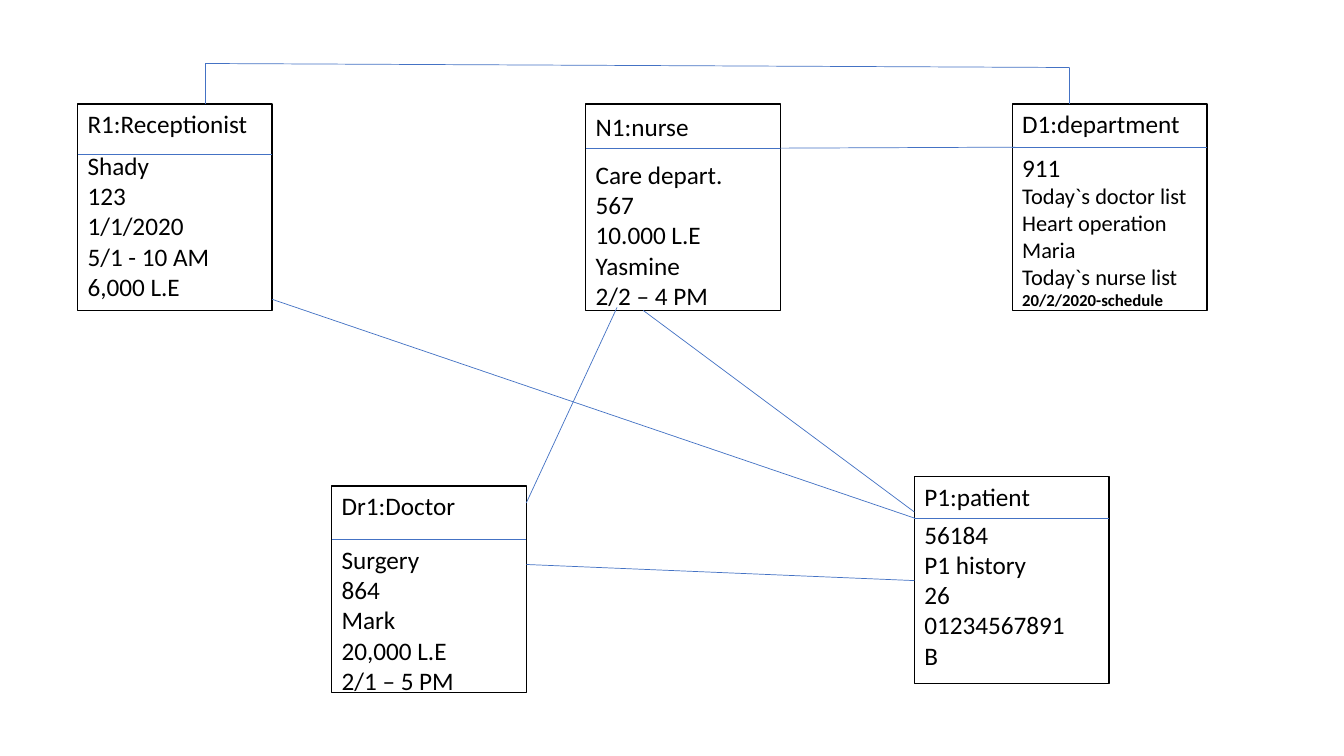
from lxml.etree import SubElement
from pptx import Presentation
from pptx.dml.color import RGBColor
from pptx.enum.shapes import MSO_CONNECTOR, MSO_SHAPE
from pptx.oxml.ns import qn
from pptx.util import Inches, Pt

COLORS = {"paper": "FFFFFF", "ink": "000000", "link": "4472C4"}
FONT = "Calibri"
CARD_WIDTH, CARD_HEIGHT = 1.93, 2.05
TITLE_HEIGHT, BODY_HEIGHT = 0.4, 1.62
NORMAL = {"size": Pt(18), "bold": False}
SMALL = {"size": Pt(16), "bold": False}
NOTE = {"size": Pt(12), "bold": True}

# Each object: corner, then the drop from its top to title, divider and body
CARDS = [
    {"title": "R1:Receptionist", "corner": (0.77, 1.03), "drops": (0, 0.5, 0.41),
     "values": ["Shady", "123", "1/1/2020", "5/1 - 10 AM", "6,000 L.E"]},
    {"title": "N1:nurse", "corner": (5.81, 1.03), "drops": (0.03, 0.44, 0.5),
     "values": ["Care depart.", "567", "10.000 L.E", "Yasmine", "2/2 – 4 PM"]},
    {"title": "D1:department", "corner": (10.04, 1.03), "drops": (0, 0.43, 0.43),
     "values": ["911", "Today`s doctor list", "Heart operation", "Maria",
                "Today`s nurse list", "20/2/2020-schedule"],
     "formats": [NORMAL] + [SMALL] * 4 + [NOTE]},
    {"title": "Dr1:Doctor", "corner": (3.29, 4.82), "drops": (0, 0.53, 0.53),
     "values": ["Surgery", "864", "Mark", "20,000 L.E", "2/1 – 5 PM"]},
    {"title": "P1:patient", "corner": (9.07, 4.73), "drops": (0, 0.41, 0.37),
     "values": ["56184", "P1 history", "26", "01234567891", "B"]},
]

# Each link is a chain of points
LINKS = {
    "doctor to patient": [(5.22, 5.6), (9.07, 5.76)],
    "receptionist to patient": [(2.7, 2.97), (9.07, 5.14)],
    "nurse to patient": [(6.38, 3.08), (9.07, 5.08)],
    "nurse to department": [(7.74, 1.47), (10.07, 1.46)],
    "doctor to nurse": [(5.22, 4.99), (6.12, 3.05)],
    "receptionist to department": [(2.04, 1.03), (2.04, 0.63), (10.61, 0.67), (10.61, 1.03)],
}


def color(name):
    """Return a named colour."""
    return RGBColor.from_string(COLORS[name])


def add_line(slide, start, end):
    """Draw a thin straight line between two points."""
    points = [Inches(value) for value in (*start, *end)]
    connector = slide.shapes.add_connector(MSO_CONNECTOR.STRAIGHT, *points)
    connector.line.color.rgb = color("link")
    connector.line.width = Pt(0.5)
    SubElement(connector._element.spPr, qn("a:effectLst"))


def add_text(slide, left, top, height, lines, formats):
    """Write one paragraph per line, each with its own font format."""
    box = slide.shapes.add_textbox(*map(Inches, (left, top, CARD_WIDTH, height)))
    frame = box.text_frame
    frame.word_wrap = True
    frame.text = "\n".join(lines)
    for paragraph, line_format in zip(frame.paragraphs, formats):
        font = paragraph.runs[0].font
        font.name = FONT
        font.color.rgb = color("ink")
        for attribute, value in line_format.items():
            setattr(font, attribute, value)


def add_card(slide, card):
    """Draw an object box with its title, divider and values."""
    left, top = card["corner"]
    title_top, divider, body_top = (top + drop for drop in card["drops"])
    size = map(Inches, (left, top, CARD_WIDTH, CARD_HEIGHT))
    shape = slide.shapes.add_shape(MSO_SHAPE.RECTANGLE, *size)
    shape.shadow.inherit = False
    shape.fill.solid()
    shape.fill.fore_color.rgb = color("paper")
    shape.line.color.rgb = color("ink")
    shape.line.width = Pt(1)
    add_line(slide, (left, divider), (left + CARD_WIDTH, divider))
    add_text(slide, left, title_top, TITLE_HEIGHT, [card["title"]], [NORMAL])
    values = card["values"]
    formats = card.get("formats", [NORMAL] * len(values))
    add_text(slide, left, body_top, BODY_HEIGHT, values, formats)


presentation = Presentation()
presentation.slide_width, presentation.slide_height = Inches(13.33), Inches(7.5)
slide = presentation.slides.add_slide(presentation.slide_layouts[6])
for card in CARDS:
    add_card(slide, card)
for points in LINKS.values():
    for start, end in zip(points, points[1:]):
        add_line(slide, start, end)
presentation.save("out.pptx")
